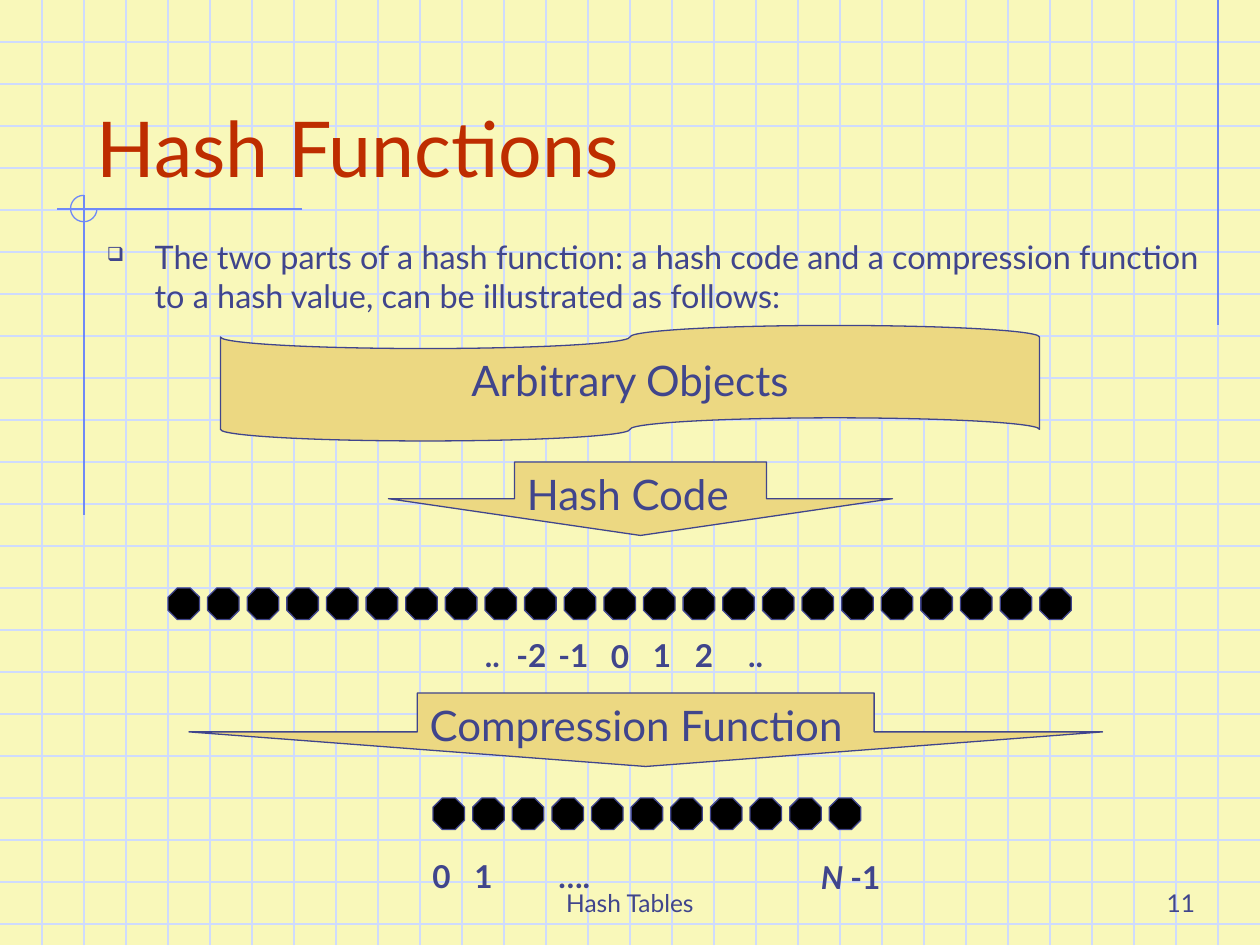
"""Build the Hash Functions slide on a grid of third-inch squares."""
import pptx
import pptx.util
import pptx.dml.color
import pptx.enum.shapes
import pptx.enum.text
import pptx.oxml
import pptx.oxml.ns

RGB = pptx.dml.color.RGBColor
SHAPE = pptx.enum.shapes.MSO_SHAPE
ALIGN = pptx.enum.text.PP_ALIGN
ANCHOR = pptx.enum.text.MSO_ANCHOR

PAPER = RGB(0xF9, 0xF8, 0xBA)
GRID = RGB(0xCF, 0xDB, 0xFD)
ACCENT = RGB(0x6F, 0x89, 0xF7)
INK = RGB(0x40, 0x45, 0x8C)
TITLE = RGB(0xBE, 0x2D, 0x00)
SAND = RGB(0xEC, 0xD8, 0x82)
BLACK = RGB(0, 0, 0)
FONT = "Lato"

COLUMNS, ROWS = 30, 22.5
DOT, DOT_PITCH = 0.75, 0.9435

TITLE_TEXT = "Hash Functions"
BODY_TEXT = ("The two parts of a hash function: a hash code and a compression "
             "function to a hash value, can be illustrated as follows:")
FOOTERS = [
    ("Hash Tables", (10.25, 20.5, 9.5, 1.5), ALIGN.CENTER),
    ("11", (22.5, 20.5, 6.25, 1.5), ALIGN.RIGHT),
]
ACCENT_LINES = [(29, 0, 29, 7.75), (7.2, 4.98, 1.35, 4.98), (2, 4.65, 2, 12.27)]
ACCENT_ARC = (1.68, 4.65, 0.63, 0.63)
STAGES = [
    ("Arbitrary Objects", SHAPE.FLOWCHART_PUNCHED_TAPE, (5.25, 7.75, 19.5, 2.75), [], ALIGN.CENTER),
    ("Hash Code", SHAPE.DOWN_ARROW, (9.25, 11, 12, 1.75), [0.5, 0.5], ALIGN.LEFT),
    ("Compression Function", SHAPE.DOWN_ARROW, (4.5, 16.5, 21.75, 1.75), [0.5, 0.47], ALIGN.LEFT),
]
DOT_ROWS = [(4, 14, 23), (10.31, 19, 11)]
LABELS = [
    ("..", 11.25, 15, 1.25), ("-2", 12, 15, 1.5), ("-1", 13, 15, 1.5),
    ("0", 14.25, 15.03, 0.75), ("1", 15.25, 15, 0.75), ("2", 16.25, 15, 0.75),
    ("..", 17.52, 15, 1.25),
    ("0", 10, 20.25, 1.5), ("1", 11, 20.25, 0.75), ("….", 13, 20.25, 3.25),
]
LAST_LABEL = ("N ", "-1")
LAST_LABEL_PLACE = (19.25, 20.28, 2.25, 1.2)


def cells(*counts):
    return [pptx.util.Inches(count / 3) for count in counts]


def add_line(page, ends, color):
    line = page.shapes.add_connector(pptx.enum.shapes.MSO_CONNECTOR.STRAIGHT, *cells(*ends))
    line.line.color.rgb = color
    line.line.width = pptx.util.Pt(0.75)
    line._element.spPr.append(pptx.oxml.parse_xml(
        f'<a:effectLst {pptx.oxml.ns.nsdecls("a")}/>'))


def add_figure(page, kind, place, fill, outline, adjustments=()):
    figure = page.shapes.add_shape(kind, *cells(*place))
    figure.shadow.inherit = False
    if fill is None:
        figure.fill.background()
    else:
        figure.fill.solid()
        figure.fill.fore_color.rgb = fill
    figure.line.color.rgb = outline
    figure.line.width = pptx.util.Pt(0.75)
    for index, value in enumerate(adjustments):
        figure.adjustments[index] = value
    return figure


def write(box, text, size, color=INK, align=ALIGN.LEFT, anchor=ANCHOR.TOP, bold=False, wrap=True):
    frame = box.text_frame
    frame.text = text
    frame.word_wrap = wrap
    frame.vertical_anchor = anchor
    para = frame.paragraphs[0]
    para.alignment = align
    for span in para.runs:
        style(span, size, color, bold)
    return para


def style(span, size, color, bold):
    span.font.name = FONT
    span.font.size = pptx.util.Pt(size)
    span.font.color.rgb = color
    span.font.bold = bold


def add_text(page, place, *args, **options):
    return write(page.shapes.add_textbox(*cells(*place)), *args, **options)


def add_bullet(para):
    properties = para._p.get_or_add_pPr()
    indent = pptx.util.Inches(0.38)
    properties.set("marL", str(indent))
    properties.set("indent", str(-indent))
    for tag in (f'buClr><a:srgbClr val="{INK}"/></a:buClr', 'buSzPct val="60000"/', 'buChar char="❑"/'):
        name, rest = (tag.split(">", 1) + [""])[:2] if ">" in tag else (tag, "")
        space = pptx.oxml.ns.nsdecls("a")
        markup = f"<a:{name} {space}>{rest}>" if rest else f"<a:{name[:-1]} {space}/>"
        properties.append(pptx.oxml.parse_xml(markup))


def main():
    deck = pptx.Presentation()
    deck.slide_width, deck.slide_height = cells(COLUMNS, ROWS)
    page = deck.slides.add_slide(deck.slide_layouts[6])
    page.background.fill.solid()
    page.background.fill.fore_color.rgb = PAPER

    for row in range(1, int(ROWS) + 1):
        add_line(page, (0, row, COLUMNS, row), GRID)
    for column in range(1, COLUMNS):
        add_line(page, (column, 0, column, ROWS), GRID)
    for ends in ACCENT_LINES:
        add_line(page, ends, ACCENT)
    add_figure(page, SHAPE.ARC, ACCENT_ARC, None, ACCENT, [0, 162])

    for text, place, align in FOOTERS:
        add_text(page, place, text, 14, align=align, anchor=ANCHOR.BOTTOM)
    add_text(page, (2, 1, 25.5, 3.75), TITLE_TEXT, 44, TITLE, anchor=ANCHOR.BOTTOM)
    add_bullet(add_text(page, (2.25, 5.5, 26.75, 2.5), BODY_TEXT, 18.5))

    for text, kind, place, adjustments, align in STAGES:
        figure = add_figure(page, kind, place, SAND, INK, adjustments)
        write(figure, text, 24, align=align, wrap=False)
    for left, top, count in DOT_ROWS:
        for index in range(count):
            place = (left + index * DOT_PITCH, top, DOT, DOT)
            add_figure(page, SHAPE.OCTAGON, place, BLACK, INK)

    for text, left, top, width in LABELS:
        add_text(page, (left, top, width, 1.2), text, 18, bold=True)
    variable, offset = LAST_LABEL
    para = add_text(page, LAST_LABEL_PLACE, variable, 18, bold=True)
    para.runs[0].font.italic = True
    span = para.add_run()
    span.text = offset
    style(span, 18, INK, True)

    deck.save("out.pptx")


if __name__ == "__main__":
    main()
